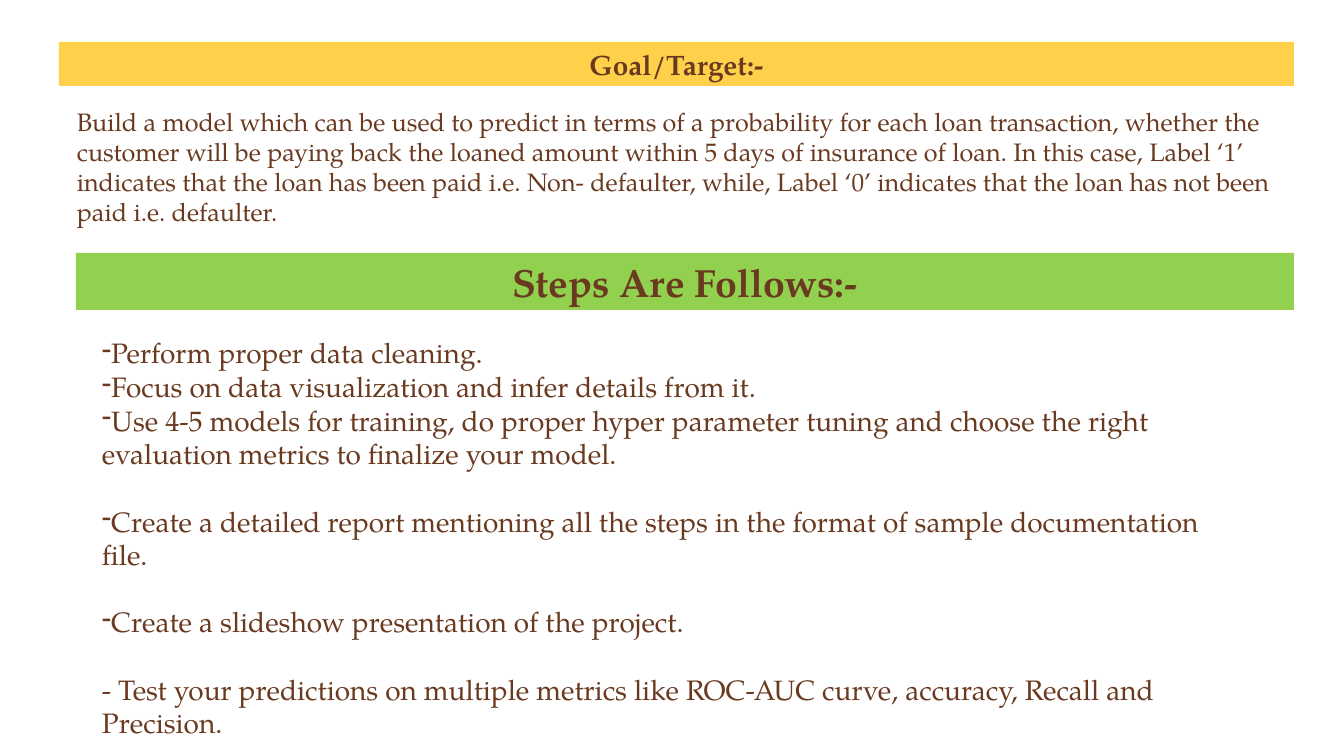
import pptx
import pptx.dml.color
import pptx.enum.shapes
import pptx.enum.text
import pptx.util
from lxml import etree

PX = 914400 / 100.8
FONT = "TeX Gyre Pagella"
BROWN = pptx.dml.color.RGBColor(0x6A, 0x3A, 0x20)
GREEN = pptx.dml.color.RGBColor(0x92, 0xD0, 0x50)
YELLOW = pptx.dml.color.RGBColor(0xFF, 0xD1, 0x4B)

GOAL = (
    "Build a model which can be used to predict in terms of a probability for each "
    "loan transaction, whether the customer will be paying back the loaned amount "
    "within 5 days of insurance of loan. In this case, Label ‘1’ indicates that the "
    "loan has been paid i.e. Non- defaulter, while, Label ‘0’ indicates that the loan "
    "has not been paid i.e. defaulter."
)
LINE = 24
STEPS = [
    ("Perform proper data cleaning.", "-", 0),
    ("Focus on data visualization and infer details from it.", "-", 0),
    ("Use 4-5 models for training, do proper hyper parameter tuning and choose the "
     "right evaluation metrics to finalize your model.", "-", 0),
    ("Create a detailed report mentioning all the steps in the format of sample "
     "documentation file.", "-", LINE),
    ("Create a slideshow presentation of the project.", "-", LINE),
    ("- Test your predictions on multiple metrics like ROC-AUC curve, accuracy, "
     "Recall and Precision.", None, LINE),
]


def emu(box):
    """Turn a box in px into EMU lengths."""
    return [pptx.util.Emu(round(length * PX)) for length in box]


def write(para, text, size, bold=False):
    """Add one styled span to a paragraph."""
    span = para.add_run()
    span.text = text
    span.font.color.rgb = BROWN
    for name, value in {"name": FONT, "size": pptx.util.Pt(size), "bold": bold}.items():
        setattr(span.font, name, value)


def set_bullet(para, mark):
    """Give a paragraph a character bullet."""
    properties = para._p.get_or_add_pPr()
    etree.SubElement(properties, pptx.oxml.ns.qn("a:buChar")).set("char", mark)


def add_banner(page, box, text, size, colour):
    """Draw a filled heading bar with centred bold text."""
    bar = page.shapes.add_shape(pptx.enum.shapes.MSO_SHAPE.RECTANGLE, *emu(box))
    bar.shadow.inherit = False
    bar.fill.solid()
    bar.fill.fore_color.rgb = colour
    bar.line.fill.background()
    para = bar.text_frame.paragraphs[0]
    para.alignment = pptx.enum.text.PP_ALIGN.CENTER
    write(para, text, size, bold=True)


def add_body(page, box, items, size):
    """Place paragraphs given as text, bullet mark and space before."""
    frame = page.shapes.add_textbox(*emu(box)).text_frame
    layout = {"word_wrap": True,
              "auto_size": pptx.enum.text.MSO_AUTO_SIZE.SHAPE_TO_FIT_TEXT}
    for name, value in layout.items():
        setattr(frame, name, value)
    for index, (text, mark, gap) in enumerate(items):
        para = frame.add_paragraph() if index else frame.paragraphs[0]
        para.space_before = pptx.util.Pt(gap)
        if mark:
            set_bullet(para, mark)
        write(para, text, size)


def add_goal(page, box):
    """Place the goal heading and its description."""
    left, top, width, height = box
    add_banner(page, (left, top, width, 44), "Goal/Target:-", 20, YELLOW)
    add_body(page, (left + 8, top + 59, width, height - 59), [(GOAL, None, 0)], 18)


def add_steps(page, box):
    """Place the steps heading and the list of steps."""
    left, top, width, height = box
    add_banner(page, (left, top, width, 57), "Steps Are Follows:-", 28, GREEN)
    add_body(page, (left + 16, top + 78, width - 51, height - 78), STEPS, 20)


def main():
    """Build the deck and save it."""
    deck = pptx.Presentation()
    deck.slide_width, deck.slide_height = emu((1344, 756))
    page = deck.slides.add_slide(deck.slide_layouts[6])
    add_steps(page, (76, 253, 1218, 428))
    add_goal(page, (59, 42, 1235, 222))
    deck.save("out.pptx")


if __name__ == "__main__":
    main()
